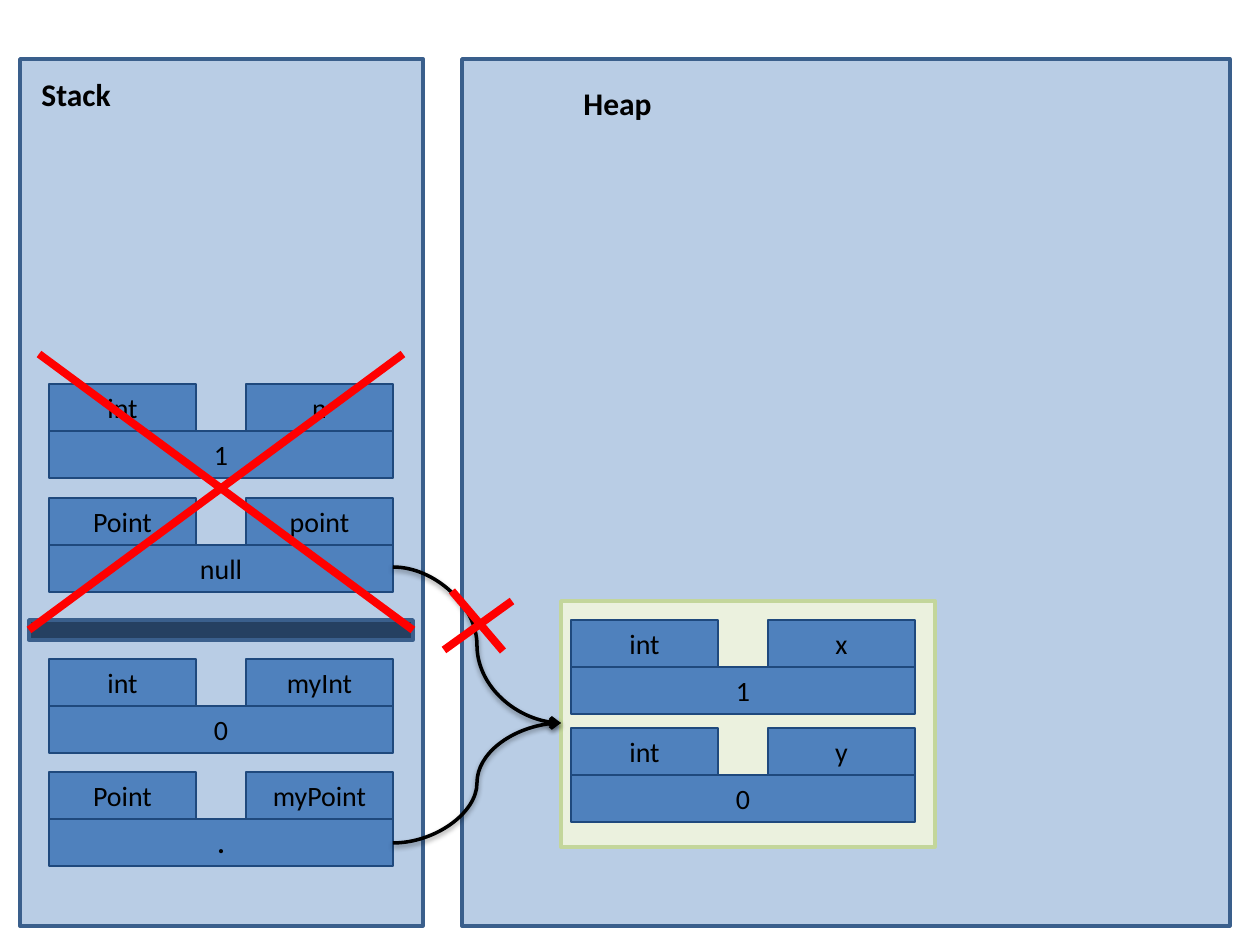
from typing import NamedTuple

from lxml import etree
from pptx import Presentation
from pptx.dml.color import RGBColor
from pptx.enum.shapes import MSO_CONNECTOR, MSO_SHAPE
from pptx.enum.text import MSO_ANCHOR, MSO_AUTO_SIZE, PP_ALIGN
from pptx.oxml.ns import qn
from pptx.util import Emu, Pt

RECT = MSO_SHAPE.RECTANGLE
CURVE, LINE = MSO_CONNECTOR.CURVE, MSO_CONNECTOR.STRAIGHT
LEFT, CENTER = PP_ALIGN.LEFT, PP_ALIGN.CENTER
TOP, MIDDLE = MSO_ANCHOR.TOP, MSO_ANCHOR.MIDDLE
GROW = MSO_AUTO_SIZE.SHAPE_TO_FIT_TEXT
SCALE = 914400 / 126
FONT = "Calibri"
BLACK, RED, EDGE = "000000", "FF0000", "3A5F8C"
CELL_W, CELL_H, FULL_W = 147, 47, 344


class Box(NamedTuple):
    """A filled rectangle with an outline."""
    x: int
    y: int
    w: int
    h: int
    fill: str
    edge: str
    width: float = 2


class Var(NamedTuple):
    """A variable: type and name above its value."""
    x: int
    y: int
    kind: str
    name: str
    value: str
    bold: bool = False


class Link(NamedTuple):
    """A line between two points."""
    x1: int
    y1: int
    x2: int
    y2: int


PANELS = [
    Box(462, 59, 768, 867, "B9CDE5", EDGE),
    Box(561, 601, 374, 246, "EBF1DE", "C3D69B"),
    Box(20, 59, 403, 867, "B9CDE5", EDGE),
]
BAR = Box(29, 620, 384, 20, "254061", EDGE)
TITLES = [(29, 69, "Stack"), (571, 78, "Heap")]
VARS = [
    Var(49, 772, "Point", "myPoint", ".", True),
    Var(571, 728, "int", "y", "0"),
    Var(571, 620, "int", "x", "1"),
    Var(49, 659, "int", "myInt", "0"),
    Var(49, 498, "Point", "point", "null"),
    Var(49, 384, "int", "n", "1"),
]
REFS = [Link(393, 843, 561, 723), Link(393, 567, 561, 723)]
STRIKES = [
    Link(512, 601, 444, 650),
    Link(452, 591, 503, 651),
    Link(39, 354, 413, 630),
    Link(403, 354, 29, 630),
]


def px(*nums: int) -> list[Emu]:
    """Turn pixels into EMU."""
    return [Emu(round(n * SCALE)) for n in nums]


def color(code: str) -> RGBColor:
    """Turn a hex string into a colour."""
    return RGBColor.from_string(code)


def write(shape, text: str, size: int, bold: bool, align, anchor) -> None:
    """Set the text of a shape and format it."""
    frame = shape.text_frame
    frame.text = text
    frame.word_wrap = True
    frame.auto_size = GROW
    frame.vertical_anchor = anchor
    para = frame.paragraphs[0]
    para.alignment = align
    font = para.runs[0].font
    font.name, font.size, font.bold = FONT, Pt(size), bold
    font.color.rgb = color(BLACK)


def add_box(shapes, box: Box):
    """Draw a rectangle."""
    shape = shapes.add_shape(RECT, *px(box.x, box.y, box.w, box.h))
    shape.shadow.inherit = False
    shape.fill.solid()
    shape.fill.fore_color.rgb = color(box.fill)
    shape.line.color.rgb = color(box.edge)
    shape.line.width = Pt(box.width)
    return shape


def add_title(shapes, x: int, y: int, text: str) -> None:
    """Draw the heading of a memory area."""
    write(shapes.add_textbox(*px(x, y, 256, 50)), text, 18, True, LEFT, TOP)


def add_var(shapes, var: Var) -> None:
    """Draw a variable as a group of three cells."""
    group = shapes.add_group_shape().shapes
    right = var.x + FULL_W - CELL_W
    cells = [
        (var.x, var.y, CELL_W, var.kind, False),
        (right, var.y, CELL_W, var.name, False),
        (var.x, var.y + CELL_H, FULL_W, var.value, var.bold),
    ]
    for x, y, w, text, bold in cells:
        box = Box(x, y, w, CELL_H, "4F81BD", "1F497D", 0.75)
        write(add_box(group, box), text, 16, bold, CENTER, MIDDLE)


def add_link(shapes, link: Link, kind, code: str, width: float):
    """Draw a line and return it with its empty effect list."""
    line = shapes.add_connector(kind, *px(*link))
    line.line.color.rgb = color(code)
    line.line.width = Pt(width)
    props = line._element.spPr
    return line, etree.SubElement(props, qn("a:effectLst"))


def add_ref(shapes, link: Link) -> None:
    """Draw a curved arrow with a soft shadow."""
    line, effects = add_link(shapes, link, CURVE, BLACK, 2)
    stroke = line.line._get_or_add_ln()
    etree.SubElement(stroke, qn("a:tailEnd"), type="arrow")
    shade = etree.SubElement(
        effects, qn("a:outerShdw"), blurRad=str(Pt(3.1)),
        dist=str(Pt(1.6)), dir="5400000", rotWithShape="0")
    tone = etree.SubElement(shade, qn("a:srgbClr"), val=BLACK)
    etree.SubElement(tone, qn("a:alpha"), val="38000")


def main() -> None:
    """Build the slide and save it."""
    deck = Presentation()
    deck.slide_width, deck.slide_height = px(1260, 945)
    shapes = deck.slides.add_slide(deck.slide_layouts[6]).shapes
    for box in PANELS:
        add_box(shapes, box)
    for title in TITLES:
        add_title(shapes, *title)
    add_box(shapes, BAR)
    for var in VARS:
        add_var(shapes, var)
    for ref in REFS:
        add_ref(shapes, ref)
    for strike in STRIKES:
        add_link(shapes, strike, LINE, RED, 4.5)
    deck.save("out.pptx")


main()
